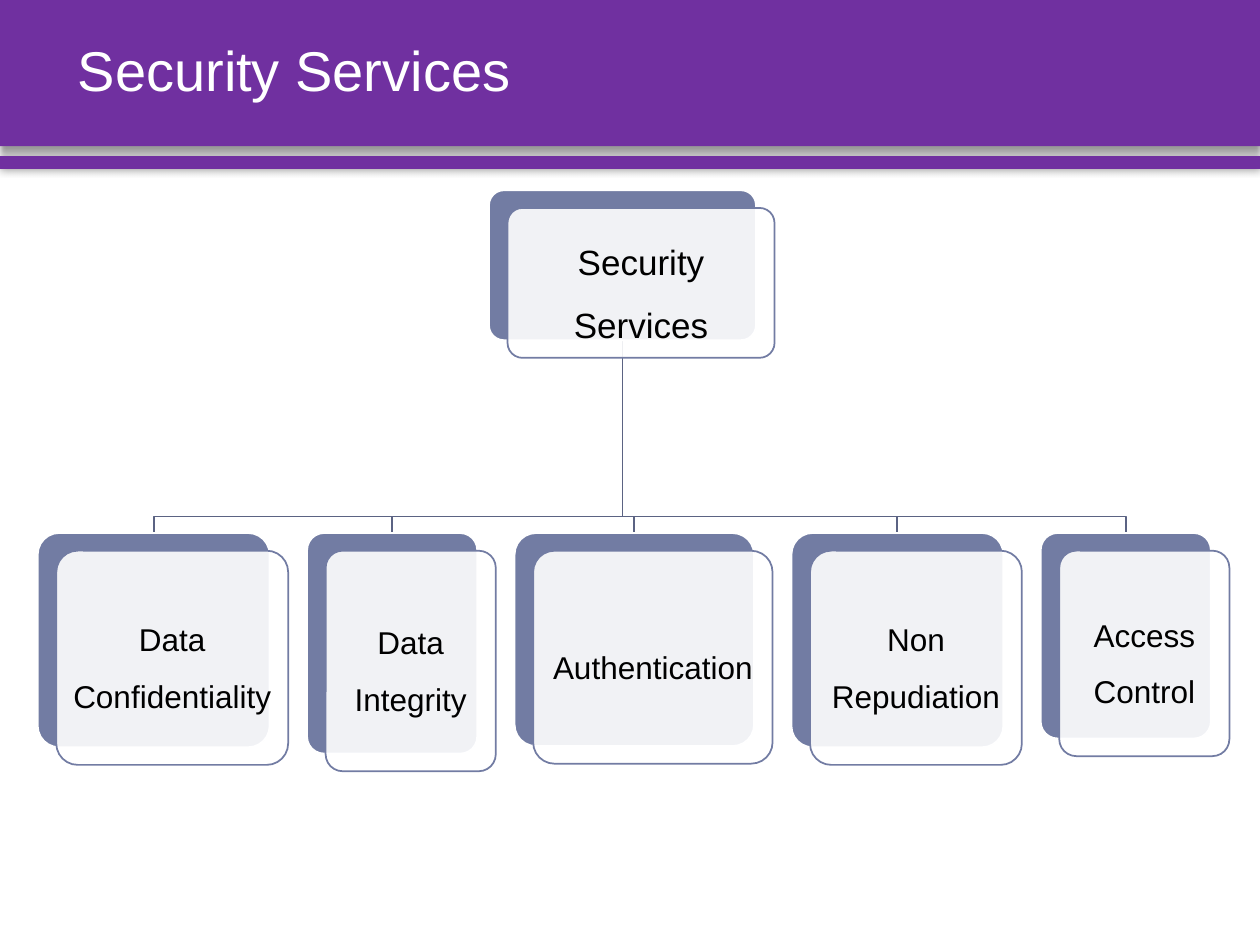
"""Build the Security Services hierarchy slide."""
from dataclasses import dataclass

from lxml import etree
from pptx import Presentation
from pptx.dml import color
from pptx.enum import shapes, text
from pptx.oxml import ns
from pptx.util import Pt

PURPLE, SLATE, LINK = "7030A0", "727CA3", "5B6383"
WHITE, BLACK = "FFFFFF", "000000"
SHIFT_X, SHIFT_Y = 10.6, 10.1
ROW_LEFT, ROW_TOP, ROW_GAP = 21.6, 304.6, 21.4
BUS_Y = 295.2


@dataclass
class Box:
    left: float
    top: float
    width: float
    height: float

    @property
    def center(self) -> float:
        return self.left + self.width / 2

    def shifted(self, dx: float, dy: float) -> "Box":
        return Box(self.left + dx, self.top + dy, self.width, self.height)

    def lengths(self) -> list:
        return [Pt(v) for v in (self.left, self.top, self.width, self.height)]


@dataclass
class Node:
    label: str
    box: Box
    size: float
    inset: float


@dataclass
class Band:
    box: Box
    blur: float
    distance: float
    direction: int


def rgb(value: str) -> color.RGBColor:
    return color.RGBColor.from_string(value)


def add_panel(slide, kind, box: Box, fill: str, line: str = ""):
    panel = slide.shapes.add_shape(kind, *box.lengths())
    panel.shadow.inherit = False
    panel.fill.solid()
    panel.fill.fore_color.rgb = rgb(fill)
    if line:
        panel.line.color.rgb = rgb(line)
        panel.line.width = Pt(1)
    else:
        panel.line.fill.background()
    return panel


def add_band(slide, band: Band) -> None:
    bar = add_panel(slide, shapes.MSO_SHAPE.RECTANGLE, band.box, PURPLE)
    effects = bar.element.spPr.find(ns.qn("a:effectLst"))
    shadow = etree.SubElement(
        effects, ns.qn("a:outerShdw"), blurRad=str(Pt(band.blur)),
        dist=str(Pt(band.distance)), dir=str(band.direction * 60000),
        algn="t", rotWithShape="0")
    tint = etree.SubElement(shadow, ns.qn("a:srgbClr"), val=BLACK)
    etree.SubElement(tint, ns.qn("a:alpha"), val="40000")


def write(frame, words: str, size: float, ink: str, spacing: float) -> None:
    frame.word_wrap = True
    frame.vertical_anchor = text.MSO_ANCHOR.MIDDLE
    frame.text = words
    line = frame.paragraphs[0]
    line.line_spacing = spacing
    font = line.runs[0].font
    font.name, font.size, font.color.rgb = "Arial", Pt(size), rgb(ink)


def add_link(slide, parent: Box, child: Box) -> None:
    start = parent.top + parent.height
    builder = slide.shapes.build_freeform(Pt(parent.center), Pt(start))
    corners = [(parent.center, BUS_Y), (child.center, BUS_Y),
               (child.center, child.top)]
    builder.add_line_segments([(Pt(x), Pt(y)) for x, y in corners], close=False)
    link = builder.convert_to_shape()
    link.shadow.inherit = False
    link.fill.background()
    link.line.color.rgb = rgb(LINK)
    link.line.width = Pt(1)


def add_node(slide, node: Node) -> None:
    rounded = shapes.MSO_SHAPE.ROUNDED_RECTANGLE
    back = add_panel(slide, rounded, node.box, SLATE, WHITE)
    card = add_panel(slide, rounded, node.box.shifted(SHIFT_X, SHIFT_Y), WHITE, SLATE)
    for layer in (back, card):
        layer.adjustments[0] = 0.1
    tint = card.element.spPr.find(ns.qn("a:solidFill"))[0]
    etree.SubElement(tint, ns.qn("a:alpha"), val="90000")
    frame = card.text_frame
    frame.margin_left = frame.margin_right = Pt(node.inset)
    frame.margin_top = frame.margin_bottom = Pt(node.inset)
    write(frame, node.label, node.size, BLACK, 1.5)
    frame.paragraphs[0].alignment = text.PP_ALIGN.CENTER
    frame.paragraphs[0].space_after = Pt(node.size * 0.35)


def service_row() -> list[Node]:
    services = [("Data Confidentiality", 132.5, 122.4),
                ("Data Integrity", 97.2, 126),
                ("Authentication", 136.8, 121.7),
                ("Non Repudiation", 121, 122.4),
                ("Access Control", 97.2, 117.4)]
    row, left = [], ROW_LEFT
    for label, width, height in services:
        row.append(Node(label, Box(left, ROW_TOP, width, height), 18, 5))
        left += width + ROW_GAP
    return row


def main() -> None:
    deck = Presentation()
    deck.slide_width, deck.slide_height = Pt(720), Pt(540)
    slide = deck.slides.add_slide(deck.slide_layouts[6])

    header = Box(0, 0, 720, 83.5)
    for band in (Band(header, 4, 3, 90), Band(Box(0, 89.3, 720, 7.2), 5, 0, 0)):
        add_band(slide, band)

    root = Node("Security Services", Box(279.4, 108.7, 152.6, 85.7), 20, 6)
    services = service_row()
    for service in reversed(services):
        add_link(slide, root.box, service.box)
    for node in [root, *services]:
        add_node(slide, node)

    title = slide.shapes.add_textbox(*Box(37.4, 0, 665.3, header.height).lengths())
    write(title.text_frame, "Security Services", 32, WHITE, 0.9)
    deck.save("out.pptx")


if __name__ == "__main__":
    main()
